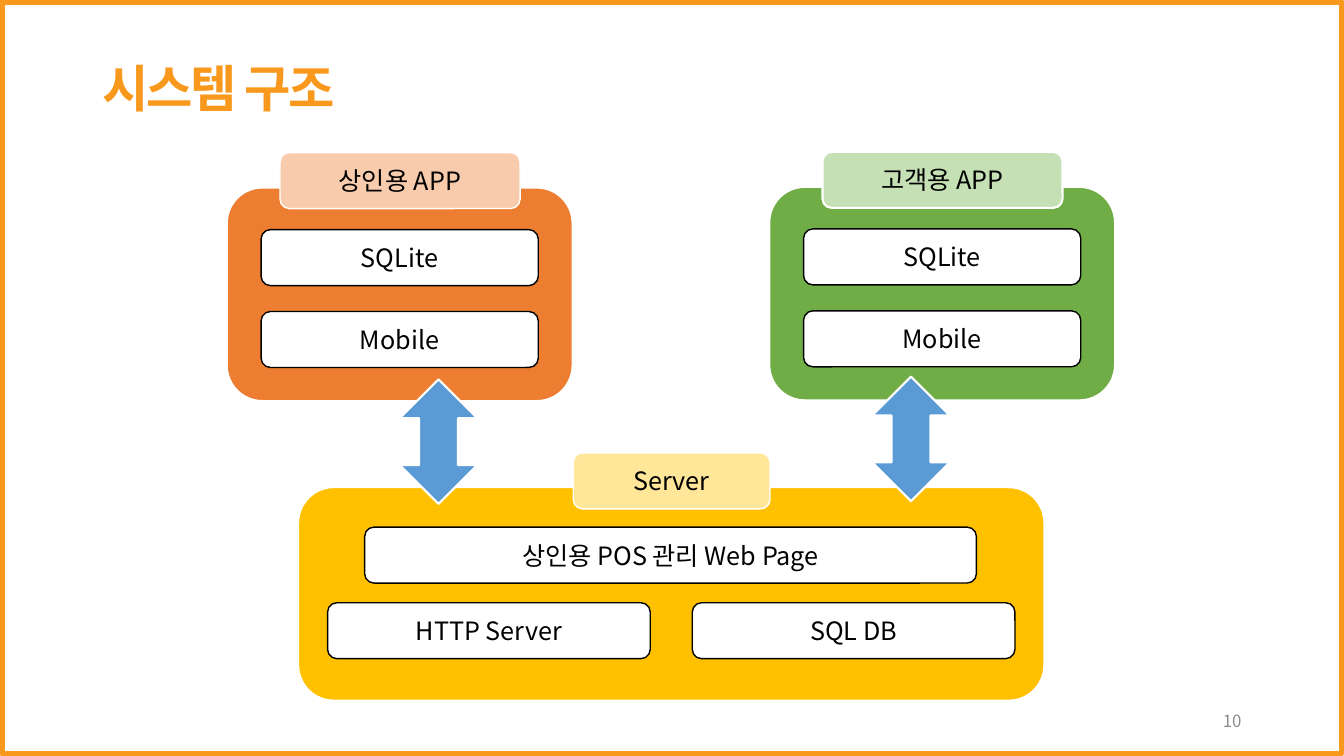
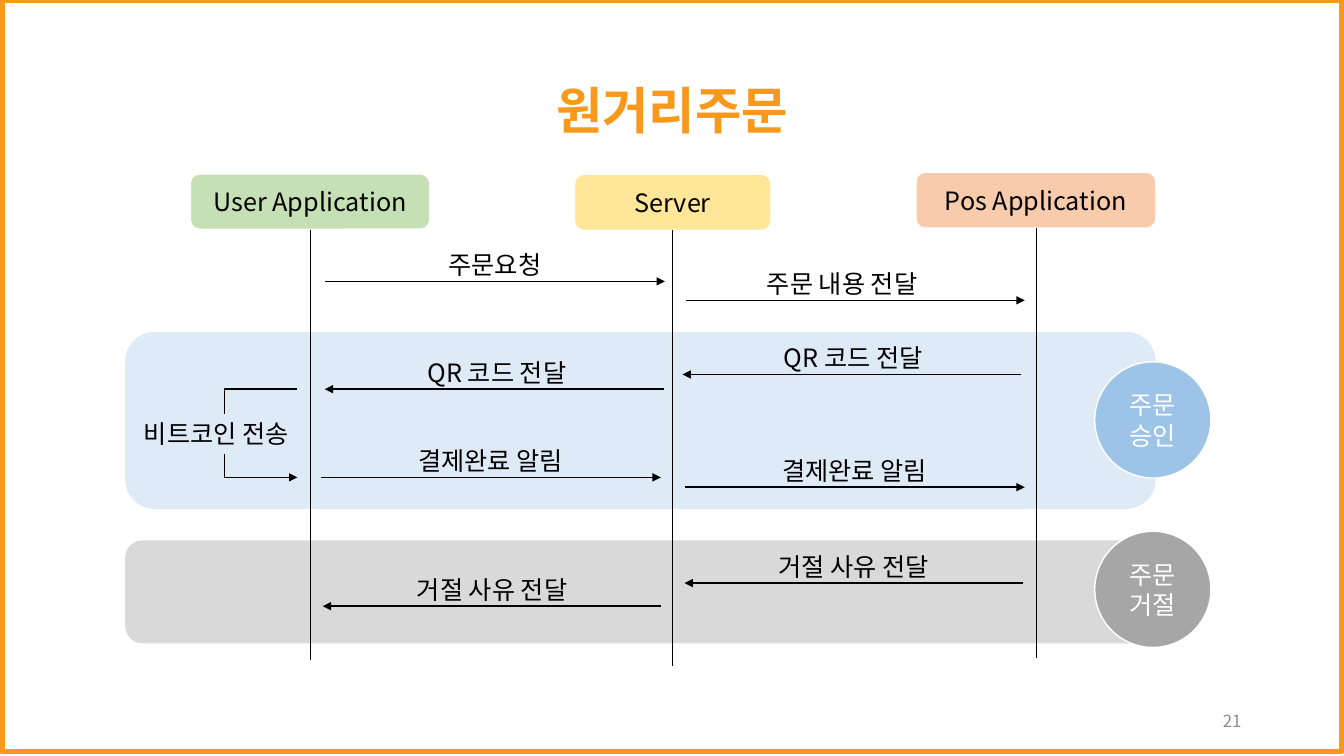
from pptx import Presentation
from pptx.dml.color import RGBColor
from pptx.enum.shapes import MSO_CONNECTOR, MSO_SHAPE
from pptx.enum.text import MSO_ANCHOR, MSO_AUTO_SIZE, PP_ALIGN
from pptx.oxml.ns import qn
from pptx.util import Pt
from lxml import etree

RECT, ROUND = MSO_SHAPE.RECTANGLE, MSO_SHAPE.ROUNDED_RECTANGLE
OVAL, ARROW = MSO_SHAPE.OVAL, MSO_SHAPE.UP_DOWN_ARROW
LINE = MSO_CONNECTOR.STRAIGHT
MIDDLE, FIXED = MSO_ANCHOR.MIDDLE, MSO_AUTO_SIZE.NONE
CENTER, RIGHT = PP_ALIGN.CENTER, PP_ALIGN.RIGHT
FONT = "Noto Sans CJK KR"
INK = {name: RGBColor.from_string(code) for name, code in {
    "brand": "F8981D", "white": "FFFFFF", "black": "000000", "page": "8C8C8C",
    "orange": "ED7D31", "peach": "F8CBAD", "green": "70AD47", "mint": "C5E0B4",
    "gold": "FFC000", "cream": "FFE699", "blue": "5B9BD5", "sky": "9DC3E6",
    "pale": "DEEBF7", "gray": "A6A6A6", "silver": "D9D9D9"}.items()}


def write(shape, text, size=18, color="black", bold=False, align=CENTER,
          wrap=True, track=0):
    frame = shape.text_frame
    frame.auto_size, frame.word_wrap = FIXED, wrap
    frame.vertical_anchor = MIDDLE
    para = frame.paragraphs[0]
    para.text, para.alignment = text, align
    for run in para.runs:
        font = run.font
        font.name, font.size, font.bold = FONT, Pt(size), bold
        font.color.rgb = INK[color]
        props = font._element
        etree.SubElement(props, qn("a:ea")).set("typeface", FONT)
        if track:
            props.set("spc", str(track))


def draw(slide, kind, at, fill=None, line=None, width=1, text="", color="black"):
    shape = slide.shapes.add_shape(kind, *map(Pt, at))
    shape.shadow.inherit = False
    if fill:
        shape.fill.solid()
        shape.fill.fore_color.rgb = INK[fill]
    else:
        shape.fill.background()
    if line:
        shape.line.color.rgb = INK[line]
        shape.line.width = Pt(width)
    else:
        shape.line.fill.background()
    if text:
        write(shape, text, color=color)
    return shape


deck = Presentation()
deck.slide_width, deck.slide_height = Pt(960), Pt(540)

# Frame, title and page number of both slides
pages = []
for name, at, track, num, top in [
        ("시스템 구조", (0, 40, 312, 51), -150, "10", 1.5),
        ("원거리주문", (66, 29, 828, 104), 0, "21", 0)]:
    slide = deck.slides.add_slide(deck.slide_layouts[5])
    draw(slide, RECT, (1.5, top, 957, 537), line="brand", width=3.75)
    title = slide.shapes.title
    title.left, title.top, title.width, title.height = map(Pt, at)
    write(title, name, size=36, color="brand", bold=True, track=track)
    title.text_frame.paragraphs[0].line_spacing = 0.9
    foot = slide.shapes.add_textbox(Pt(678), Pt(500.5), Pt(216), Pt(29))
    write(foot, num, size=12, color="page", align=RIGHT)
    pages.append(slide)
system, order = pages

# System: two app cards
for x, y, fill, tint, name, edge in [
        (162, 134, "orange", "peach", "상인용 APP", 1),
        (549.5, 133.5, "green", "mint", "고객용 APP", 1.5)]:
    draw(system, ROUND, (x, y, 247, 152.5), fill, "white", 1.5)
    for row, part in enumerate(["SQLite", "Mobile"]):
        draw(system, ROUND, (x + 24.5, y + 30 + 58.5 * row, 198, 40),
             "white", "black", text=part)
    draw(system, ROUND, (x + 38, y - 25, 171.5, 40), tint, "white", edge, name)

# System: server card
draw(system, ROUND, (213, 348, 533, 152.5), "gold", "white", 1.5)
for x, y, wide, part in [(260.5, 376.5, 437, "상인용 POS 관리 Web Page"),
                         (234, 430.5, 230.5, "HTTP Server"),
                         (494.5, 430.5, 230.5, "SQL DB")]:
    draw(system, ROUND, (x, y, wide, 40), "white", "black", text=part)
draw(system, ROUND, (409.5, 323.5, 140.5, 40), "cream", "white", text="Server")

# System: links between apps and server
for x, y in [(285.5, 271), (623, 269)]:
    draw(system, ARROW, (x, y, 55.5, 89), "blue", "white", 1.5)

# Order: outcome bands with badges
for y, high, fill, tint, name, top in [
        (386, 73.5, "silver", "gray", "주문\v거절", 379.5),
        (237, 126.5, "pale", "sky", "주문승인", 258.5)]:
    draw(order, ROUND, (89.5, y, 736, high), fill)
    draw(order, OVAL, (782, top, 83, 83), tint, "white", text=name, color="white")

# Order: actors and their lifelines
strokes = []
for mid, y, wide, fill, edge, name, end in [
        (740, 123, 171.5, "peach", 1, "Pos Application", 470),
        (221.5, 124, 171.5, "mint", 1.5, "User Application", 471.5),
        (480.5, 124.5, 140.5, "cream", 1, "Server", 476)]:
    head = draw(order, ROUND, (mid - wide / 2, y, wide, 40), fill, "white",
                edge, name)
    life = order.shapes.add_connector(LINE, Pt(mid), Pt(y + 40), Pt(mid), Pt(end))
    life.begin_connect(head, 2)
    strokes.append((life, 0.5, False))

# Order: messages, each label just above its arrow
labels = [("비트코인 전송", 154.5, 295)]
for text, start, end, y, mid in [
        ("주문요청", 232, 475, 201, 353.5),
        ("주문 내용 전달", 490, 732, 214.5, 601.5),
        ("QR 코드 전달", 729.5, 487.5, 267.5, 609.5),
        ("QR 코드 전달", 474, 232, 278, 355),
        ("결제완료 알림", 229, 472, 341, 350.5),
        ("결제완료 알림", 489, 732, 348, 610.5),
        ("거절 사유 전달", 731, 489, 416.5, 609.5),
        ("거절 사유 전달", 472, 230.5, 433, 351.5)]:
    line = order.shapes.add_connector(LINE, Pt(start), Pt(y), Pt(end), Pt(y))
    strokes.append((line, 1, True))
    labels.append((text, mid, y - 26.5))
for text, mid, y in labels:
    box = order.shapes.add_textbox(Pt(mid - 65), Pt(y), Pt(130), Pt(29))
    write(box, text, wrap=False)

# Order: elbows around the payment label
for points, tip in [([(212.5, 278), (160.5, 278), (160.5, 295.5)], False),
                    ([(160.5, 324.5), (160.5, 341), (212.5, 341)], True)]:
    first, *rest = [(Pt(x), Pt(y)) for x, y in points]
    path = order.shapes.build_freeform(*first)
    path.add_line_segments(rest, close=False)
    elbow = path.convert_to_shape()
    elbow.fill.background()
    strokes.append((elbow, 1, tip))

# Order: style of all lines
for line, width, tip in strokes:
    line.line.color.rgb = INK["black"]
    line.line.width = Pt(width)
    props = line._element.spPr
    etree.SubElement(props, qn("a:effectLst"))
    if tip:
        etree.SubElement(props.find(qn("a:ln")), qn("a:tailEnd")).set("type", "triangle")

deck.save("out.pptx")
